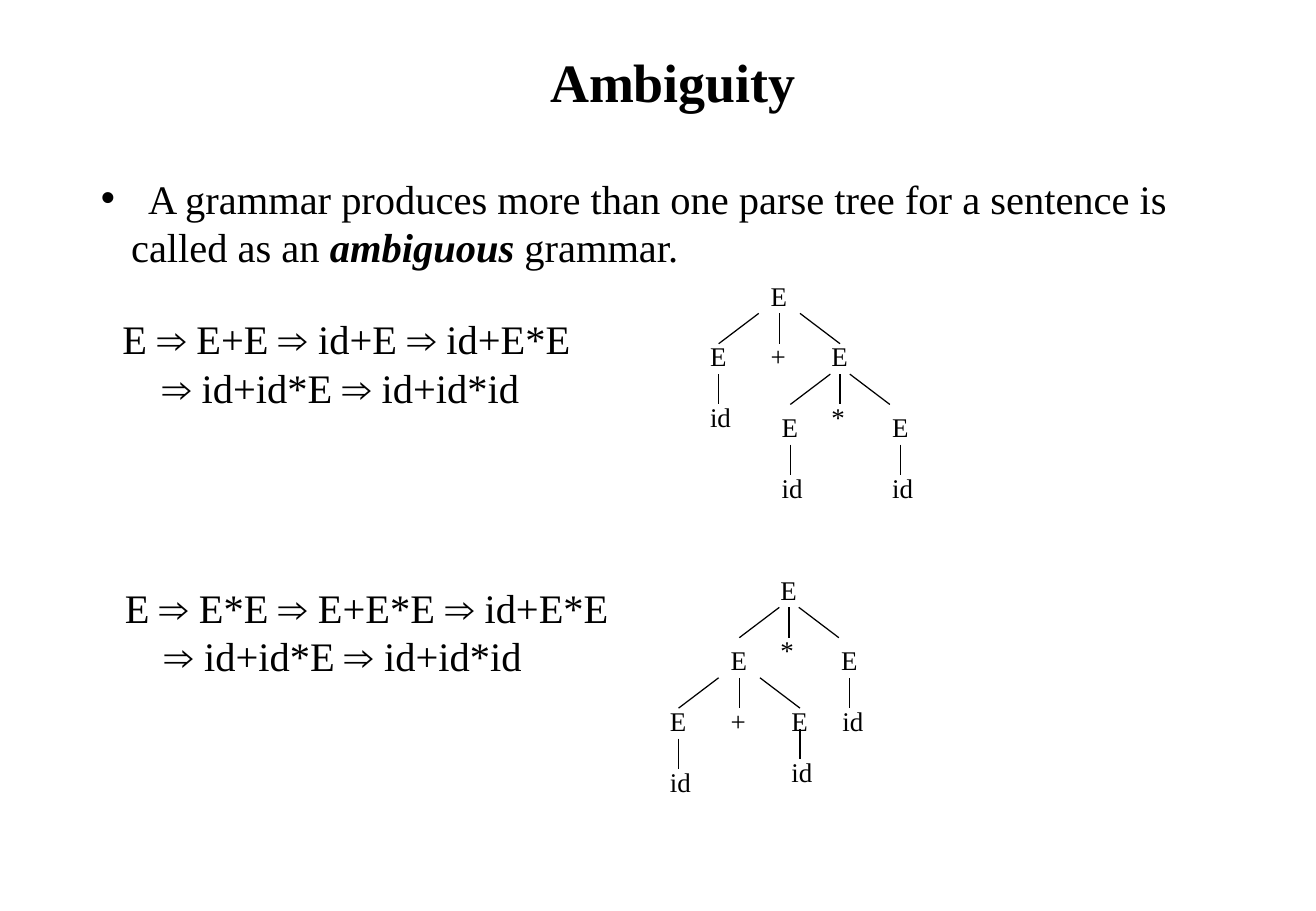
from dataclasses import dataclass
from itertools import groupby
from typing import Optional

from lxml.etree import SubElement
from pptx import Presentation
from pptx.dml.color import RGBColor
from pptx.enum.shapes import MSO_CONNECTOR as Connector
from pptx.enum.text import MSO_ANCHOR as Anchor, MSO_AUTO_SIZE as AutoSize, PP_ALIGN as Align
from pptx.oxml.ns import qn
from pptx.util import Inches, Pt

BLACK = RGBColor(0, 0, 0)
WHITE = RGBColor(255, 255, 255)
SERIF, SANS = "Times New Roman", "Arial"
ARROW = "⇒"
STEM_X, DROP, SPREAD = 0.17, 0.25, 0.33


@dataclass
class Derivation:
    left: float
    top: float
    lines: tuple[str, str]


@dataclass
class Node:
    label: str
    left: float
    top: float
    fan: Optional[float] = None  # half the gap between the slanted branches
    stem_top: float = 0.33


DERIVATIONS = [
    Derivation(0.91, 2.54, ("E ⇒ E+E ⇒ id+E ⇒ id+E*E", "⇒ id+id*E ⇒ id+id*id")),
    Derivation(0.93, 4.75, ("E ⇒ E*E ⇒ E+E*E ⇒ id+E*E", "⇒ id+id*E ⇒ id+id*id")),
]
SUM_TREE = [
    Node("E", 6.25, 2.25, fan=0.17),
    Node("E", 5.75, 2.75), Node("+", 6.25, 2.75), Node("E", 6.75, 2.75, fan=0.08),
    Node("id", 5.75, 3.25), Node("*", 6.75, 3.25),
    Node("E", 6.34, 3.33), Node("E", 7.25, 3.33),
    Node("id", 6.34, 3.83), Node("id", 7.25, 3.83),
]
PRODUCT_TREE = [
    Node("E", 6.33, 4.67, fan=0.08),
    Node("E", 5.92, 5.25, fan=0.17), Node("*", 6.33, 5.17), Node("E", 6.83, 5.25),
    Node("E", 5.42, 5.75), Node("+", 5.92, 5.75), Node("E", 6.42, 5.75, stem_top=0.25),
    Node("id", 6.84, 5.75), Node("id", 5.42, 6.25), Node("id", 6.42, 6.17),
]


def place(shape, left: float, top: float, width: float, height: float) -> None:
    box = dict(left=left, top=top, width=width, height=height)
    for name, value in box.items():
        setattr(shape, name, Inches(value))


def set_frame(tf, anchor=Anchor.TOP) -> None:
    frame = dict(word_wrap=True, auto_size=AutoSize.NONE, vertical_anchor=anchor,
                 margin_left=Inches(0.1), margin_right=Inches(0.1),
                 margin_top=Inches(0.05), margin_bottom=Inches(0.05))
    for name, value in frame.items():
        setattr(tf, name, value)


def add_run(p, text: str, size: int, font: str = SERIF, **style: bool) -> None:
    r = p.add_run()
    r.text = text
    for name, value in dict(name=font, size=Pt(size), **style).items():
        setattr(r.font, name, value)
    r.font.color.rgb = BLACK


def set_indent(p, left: float, first: float = 0, bullet: str = "") -> None:
    p.space_before = Pt(0)
    pPr = p._p.get_or_add_pPr()
    pPr.set("marL", str(Inches(left)))
    pPr.set("indent", str(Inches(first)))
    if bullet:
        SubElement(pPr, qn("a:buChar")).set("char", bullet)
    else:
        SubElement(pPr, qn("a:buNone"))


def add_derivation(s, d: Derivation) -> None:
    tf = s.shapes.add_textbox(Inches(d.left), Inches(d.top), Inches(4.6), Inches(0.9)).text_frame
    set_frame(tf)
    for p, line, indent in zip((tf.paragraphs[0], tf.add_paragraph()), d.lines, (0, 0.33)):
        set_indent(p, indent)
        for is_arrow, chars in groupby(line, key=lambda c: c == ARROW):
            add_run(p, "".join(chars), 24, SANS if is_arrow else SERIF)


def add_branch(s, x1: float, y: float, x2: float) -> None:
    line = s.shapes.add_connector(Connector.STRAIGHT, Inches(x1), Inches(y),
                                  Inches(x2), Inches(y + DROP))
    line.line.color.rgb = BLACK
    line.line.width = Pt(0.75)
    SubElement(line._element.spPr, qn("a:effectLst"))


def add_node(s, n: Node) -> None:
    tf = s.shapes.add_textbox(Inches(n.left), Inches(n.top), Inches(0.42), Inches(0.37)).text_frame
    set_frame(tf)
    add_run(tf.paragraphs[0], n.label, 16)
    if n.label != "E":
        return
    x, y = n.left + STEM_X, n.top + n.stem_top
    add_branch(s, x, y, x)
    if n.fan is not None:
        for side in (-1, 1):
            add_branch(s, x + side * n.fan, y, x + side * (n.fan + SPREAD))


def main() -> None:
    prs = Presentation()
    prs.slide_width, prs.slide_height = Inches(10.84), Inches(7.5)
    s = prs.slides.add_slide(prs.slide_layouts[1])
    s.background.fill.solid()
    s.background.fill.fore_color.rgb = WHITE

    # Title
    title = s.shapes.title
    place(title, 0.42, 0.17, 10.25, 1)
    set_frame(title.text_frame, Anchor.MIDDLE)
    p = title.text_frame.paragraphs[0]
    p.alignment = Align.CENTER
    add_run(p, "Ambiguity", 32, bold=True)

    # Definition
    body = s.placeholders[1]
    place(body, 0.73, 1.38, 9.5, 0.9)
    tf = body.text_frame
    set_frame(tf)
    p = tf.paragraphs[0]
    set_indent(p, 0.39, -0.39, "•")
    add_run(p, "A grammar produces more than one parse tree for a sentence is", 24)
    p = tf.add_paragraph()
    set_indent(p, 0.25)
    add_run(p, "called as an ", 24)
    add_run(p, "ambiguous", 24, bold=True, italic=True)
    add_run(p, " grammar.", 24)

    # Derivations and their parse trees
    for d in DERIVATIONS:
        add_derivation(s, d)
    for n in SUM_TREE + PRODUCT_TREE:
        add_node(s, n)

    prs.save("out.pptx")


if __name__ == "__main__":
    main()
